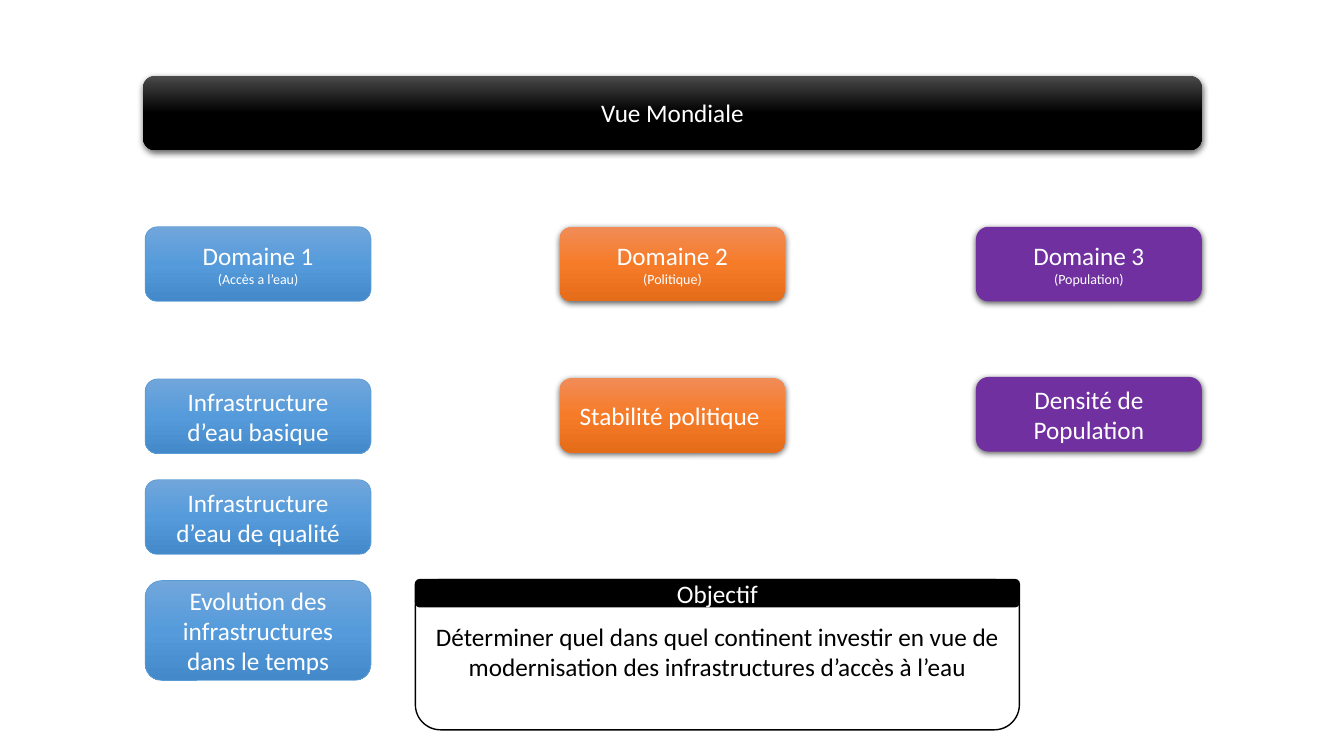
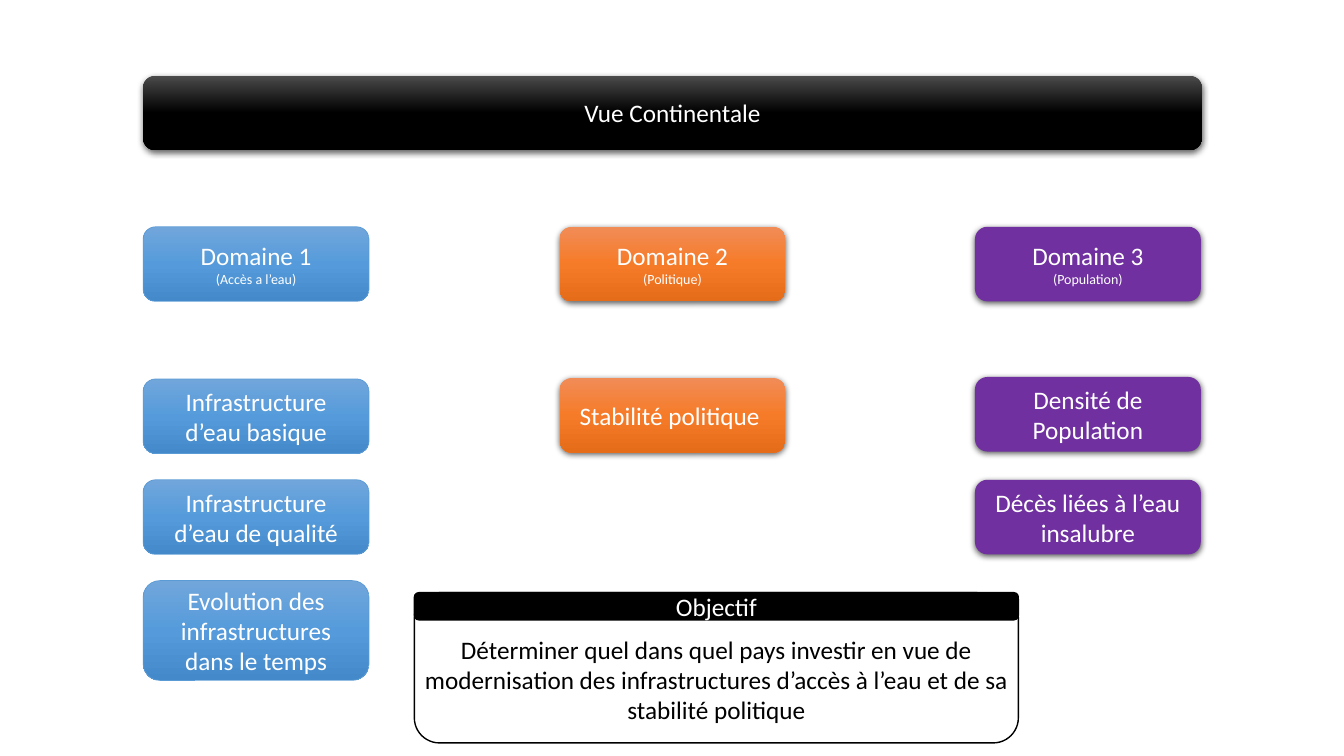
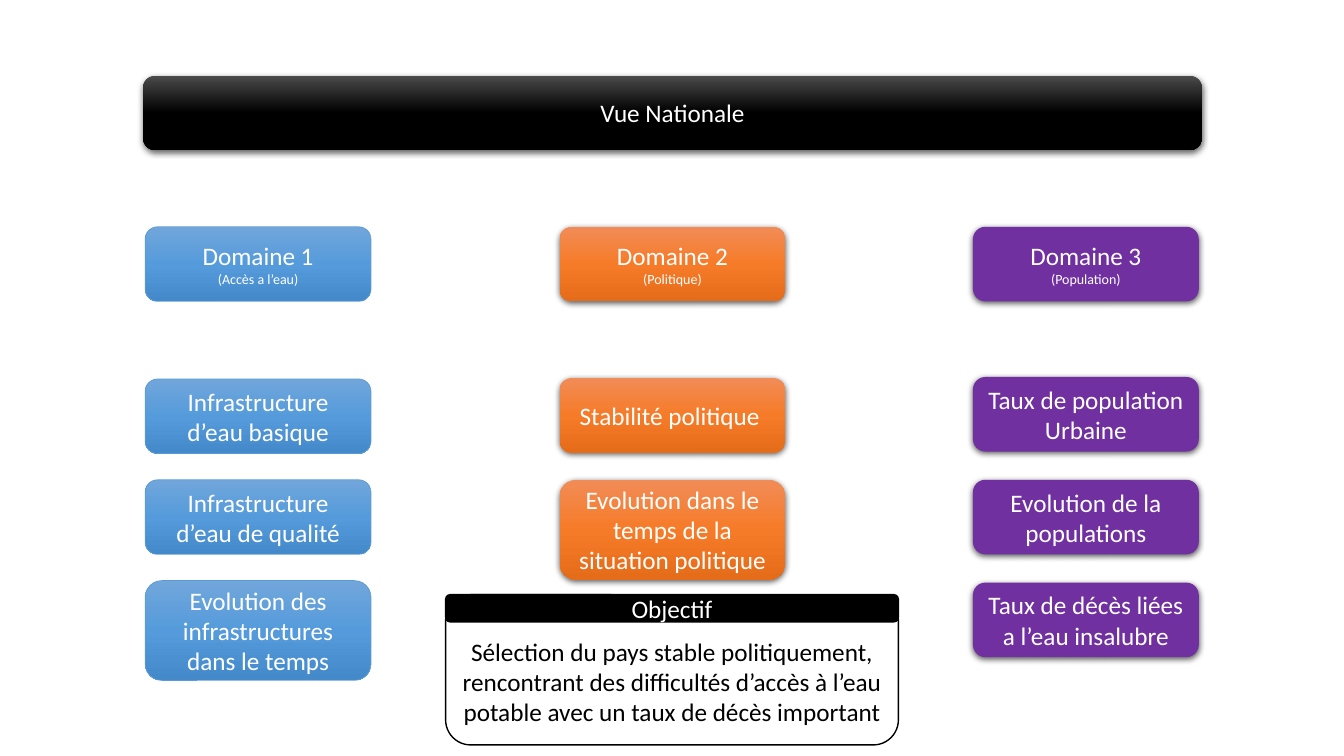
from copy import deepcopy

from lxml import etree
from pptx import Presentation
from pptx import util as u
from pptx.dml.color import RGBColor
from pptx.enum import shapes, text
from pptx.oxml.ns import qn

BLACK = RGBColor(0x00, 0x00, 0x00)
WHITE = RGBColor(0xFF, 0xFF, 0xFF)
PURPLE = RGBColor(0x70, 0x30, 0xA0)
BLUE_LINE = RGBColor(0x5B, 0x9B, 0xD5)
BLACK_FADE = (RGBColor(0x4B, 0x4B, 0x4B), BLACK, BLACK)
BLUE_FADE = (RGBColor(0x71, 0xA6, 0xDB), RGBColor(0x55, 0x9B, 0xDB), RGBColor(0x44, 0x8A, 0xCA))
ORANGE_FADE = (RGBColor(0xF1, 0x8C, 0x57), RGBColor(0xF6, 0x7B, 0x28), RGBColor(0xE5, 0x6C, 0x19))
FONT = "Calibri"

# Lengths in inches
BANNER = (1.42, 0.75, 10.5, 0.74)
BOX_W, BOX_H, TALL_H = 2.24, 0.74, 0.99
DOMAIN_TOP, MIDDLE_ROW_TOP = 2.25, 4.76
PANEL_H, PANEL_HEAD_H, PANEL_TEXT_DROP = 1.49, 0.27, 0.36

DOMAINS = [
    dict(head=["Domaine 1", "(Accès a l’eau)"], pitch=1.0,
         look=dict(fill=BLUE_FADE, line=BLUE_LINE, width=0.5)),
    dict(head=["Domaine 2", "(Politique)"], pitch=1.01,
         look=dict(fill=ORANGE_FADE, shadow=True)),
    dict(head=["Domaine 3", "(Population)"], pitch=1.02,
         look=dict(fill=PURPLE, shadow=True)),
]
TALL = {"Evolution des infrastructures dans le temps",
        "Evolution dans le temps de la situation politique"}
WATER = ["Infrastructure d’eau basique", "Infrastructure d’eau de qualité",
         "Evolution des infrastructures dans le temps"]
STABILITY = "Stabilité politique "

VIEWS = [
    dict(title="Vue Mondiale", lefts=(1.44, 5.55, 9.68),
         columns=[WATER, [STABILITY], ["Densité de Population"]],
         panel=(4.12, 5.75, 5.99), text_h=0.71,
         goal="Déterminer quel dans quel continent investir en vue de "
              "modernisation des infrastructures d’accès à l’eau"),
    dict(title="Vue Continentale", lefts=(1.42, 5.55, 9.67),
         columns=[WATER, [STABILITY],
                  ["Densité de Population", "Décès liées à l’eau insalubre"]],
         panel=(4.11, 5.88, 5.99), text_h=1.01,
         goal="Déterminer quel dans quel pays investir en vue de modernisation des "
              "infrastructures d’accès à l’eau et de sa stabilité politique"),
    dict(title="Vue Nationale", lefts=(1.44, 5.55, 9.65),
         columns=[WATER,
                  [STABILITY, "Evolution dans le temps de la situation politique"],
                  ["Taux de population Urbaine", "Evolution de la populations",
                   "Taux de décès liées a l’eau insalubre"]],
         panel=(4.42, 5.9, 4.49), text_h=1.01,
         goal="Sélection du pays stable politiquement, rencontrant des difficultés "
              "d’accès à l’eau potable avec un taux de décès important"),
]


def write(sp, lines, sizes=(18, 10), color=WHITE, anchor=text.MSO_ANCHOR.MIDDLE):
    """Fill a shape with centred lines, one size per line."""
    tf = sp.text_frame
    tf.word_wrap = True
    tf.vertical_anchor = anchor
    for i, (line, size) in enumerate(zip(lines, sizes)):
        p = tf.paragraphs[0] if i == 0 else tf.add_paragraph()
        p.alignment = text.PP_ALIGN.CENTER
        r = p.add_run()
        r.text = line
        r.font.name, r.font.size, r.font.color.rgb = FONT, u.Pt(size), color


def paint_gradient(sp, colors):
    """Fill from top to bottom with three evenly spaced colours."""
    sp.fill.gradient()
    sp.fill.gradient_angle = 270
    stops = sp._element.spPr.find(".//" + qn("a:gsLst"))
    stops.append(deepcopy(stops[0]))
    for i, (stop, color) in enumerate(zip(sp.fill.gradient_stops, colors)):
        stop.position = i / 2
        stop.color.rgb = color


def add_shadow(sp):
    effects = sp._element.spPr.find(qn("a:effectLst"))
    outer = etree.SubElement(effects, qn("a:outerShdw"), blurRad=str(u.Pt(4.5)),
                             dist=str(u.Pt(1.5)), dir="5400000", algn="ctr", rotWithShape="0")
    color = etree.SubElement(outer, qn("a:srgbClr"), val=str(BLACK))
    etree.SubElement(color, qn("a:alpha"), val="63000")


def add_box(s, place, lines=(), fill=WHITE, line=None, width=1, shadow=False):
    sp = s.shapes.add_shape(shapes.MSO_SHAPE.ROUNDED_RECTANGLE, *map(u.Inches, place))
    sp.shadow.inherit = False
    if isinstance(fill, RGBColor):
        sp.fill.solid()
        sp.fill.fore_color.rgb = fill
    else:
        paint_gradient(sp, fill)
    if line is None:
        sp.line.fill.background()
    else:
        sp.line.color.rgb = line
        sp.line.width = u.Pt(width)
    if shadow:
        add_shadow(sp)
    write(sp, lines)


def add_domain(s, domain, left, items):
    add_box(s, (left, DOMAIN_TOP, BOX_W, BOX_H), domain["head"], **domain["look"])
    for row, item in enumerate(items):
        top = MIDDLE_ROW_TOP + (row - 1) * domain["pitch"]
        height = TALL_H if item in TALL else BOX_H
        add_box(s, (left, top, BOX_W, height), [item], **domain["look"])


def add_goal(s, view):
    left, top, width = view["panel"]
    add_box(s, (left, top, width, PANEL_H), line=BLACK)
    add_box(s, (left, top, width, PANEL_HEAD_H), ["Objectif"], fill=BLACK, line=BLACK)
    place = (left, top + PANEL_TEXT_DROP, width, view["text_h"])
    tb = s.shapes.add_textbox(*map(u.Inches, place))
    write(tb, [view["goal"]], color=BLACK, anchor=text.MSO_ANCHOR.TOP)


def main():
    prs = Presentation()
    prs.slide_width, prs.slide_height = u.Inches(13.33), u.Inches(7.5)
    for view in VIEWS:
        s = prs.slides.add_slide(prs.slide_layouts[6])
        add_box(s, BANNER, [view["title"]], fill=BLACK_FADE, shadow=True)
        for domain, left, items in zip(DOMAINS, view["lefts"], view["columns"]):
            add_domain(s, domain, left, items)
        add_goal(s, view)
    prs.save("out.pptx")


if __name__ == "__main__":
    main()
